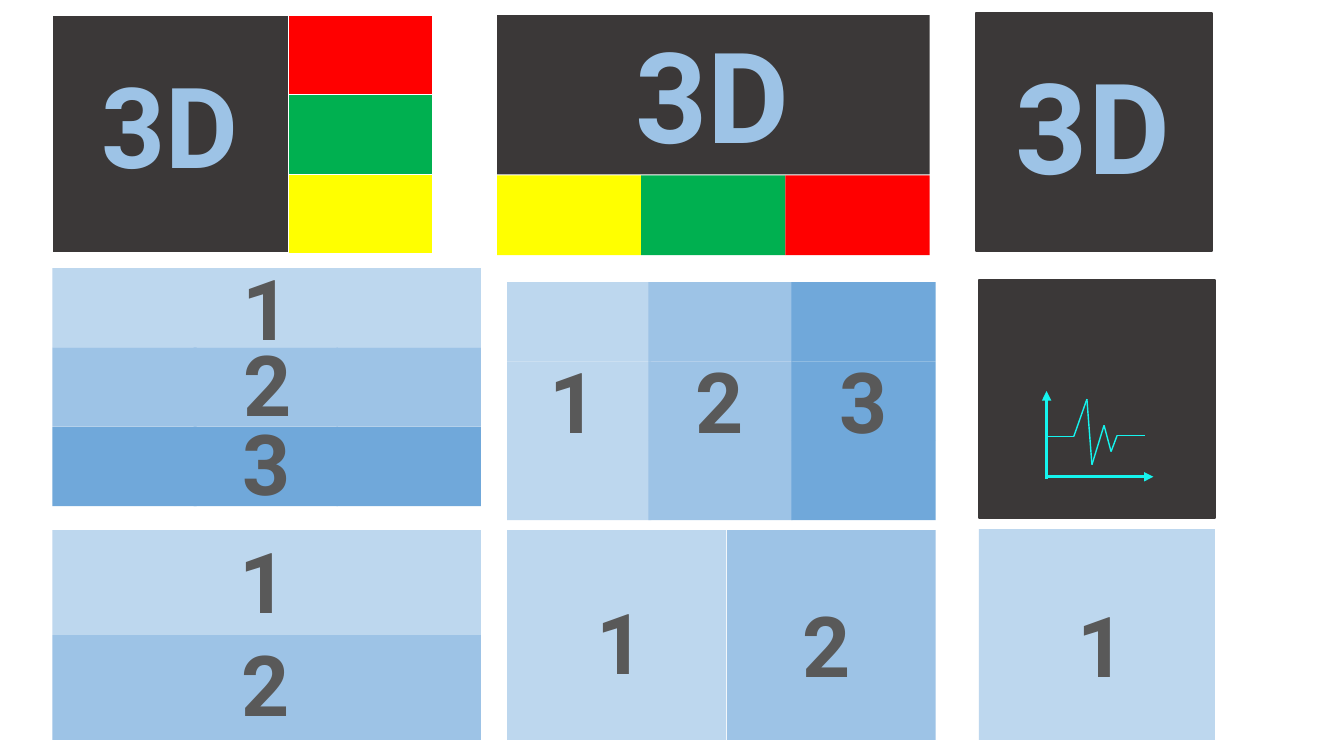
import pptx
import pptx.util
import pptx.dml.color
import pptx.enum.shapes
import pptx.enum.text
import pptx.oxml
import pptx.oxml.ns

Inches = pptx.util.Inches

THEME = {
    "font": "Roboto",
    "dark": "3B3838", "white": "FFFFFF",
    "red": "FF0000", "green": "00B050", "yellow": "FFFF00",
    "pale": "BDD7EE", "light": "9DC3E6", "mid": "70A8DA",
    "digit": "595959", "signal": "15F4EE",
    "digit_size": 60, "small_title": 80, "large_title": 90,
    "thin": 1, "axis": 2.25,
}

SHADES = ["pale", "light", "mid"]
LEFT_COLUMNS = [(0.52, 1.43), (1.92, 1.43), (3.34, 1.43)]
MIDDLE_COLUMNS = [(5.03, 1.43), (6.43, 1.43), (7.85, 1.43)]
HALF_COLUMNS = [(5.03, 2.17), (7.21, 2.07)]
HALF_ROWS = [(5.26, 1.04), (6.3, 1.04)]


def even_rows(top, height, count):
    return [(top + i * height, height) for i in range(count)]


def grid(columns, rows, shade_by):
    return [(left, top, width, height, SHADES[r if shade_by == "row" else c], None)
            for c, (left, width) in enumerate(columns)
            for r, (top, height) in enumerate(rows)]


def digits(*places):
    return [(text, *place, 1.11, "digit", "digit_size") for text, *place in places]


side_lights = [(2.86, top, 1.43, height, colour, "white")
               for (top, height), colour in zip(even_rows(0.15, 0.79, 3),
                                                ["red", "green", "yellow"])]
bottom_lights = [(4.93 + i * 1.43, 1.74, 1.43, 0.79, colour, None)
                 for i, colour in enumerate(["yellow", "green", "red"])]

PANELS = [
    ([(0.52, 0.15, 2.34, 2.36, "dark", "white")] + side_lights,
     [("3D", 0.52, 0.51, 2.34, 1.45, "light", "small_title")]),
    ([(4.93, 0.15, 4.29, 1.58, "dark", None)] + bottom_lights,
     [("3D", 5.9, 0.12, 2.34, 1.62, "light", "large_title")]),
    (grid(LEFT_COLUMNS, even_rows(2.66, 0.787, 3), "row"),
     digits(("1", 1.47, 2.5, 2.34), ("2", 1.48, 3.25, 2.34), ("3", 1.47, 4.03, 2.34))),
    (grid(MIDDLE_COLUMNS, even_rows(2.8, 0.787, 3), "column"),
     digits(("1", 4.99, 3.42, 1.4), ("2", 6.42, 3.42, 1.44), ("3", 7.86, 3.42, 1.41))),
    ([(9.68, 0.13, 2.34, 2.36, "dark", "dark")],
     [("3D", 9.67, 0.43, 2.34, 1.62, "light", "large_title")]),
    ([(9.71, 2.78, 2.34, 2.36, "dark", "dark")], []),
    (grid(HALF_COLUMNS, HALF_ROWS, "column"),
     digits(("1", 5.36, 5.81, 1.59), ("2", 7.27, 5.84, 1.85))),
    (grid(LEFT_COLUMNS, HALF_ROWS, "row"),
     digits(("1", 1.44, 5.2, 2.34), ("2", 1.46, 6.23, 2.34))),
    ([(9.71, 5.25, 2.34, 2.09, "pale", None)],
     digits(("1", 9.76, 5.84, 2.34))),
]

AXES = [((10.38, 4.75), (10.38, 3.88)), ((10.37, 4.73), (11.44, 4.73))]
PULSE = [(10.37, 4.33), (10.65, 4.33), (10.78, 3.96), (10.83, 4.61),
         (10.95, 4.22), (11.02, 4.48), (11.08, 4.32), (11.36, 4.32)]


def colour_of(name):
    return pptx.dml.color.RGBColor.from_string(THEME[name])


def add_tile(panel, left, top, width, height, fill, outline):
    tile = panel.shapes.add_shape(pptx.enum.shapes.MSO_SHAPE.RECTANGLE,
                                  *map(Inches, (left, top, width, height)))
    tile.shadow.inherit = False
    tile.fill.solid()
    tile.fill.fore_color.rgb = colour_of(fill)
    if outline:
        tile.line.color.rgb = colour_of(outline)
        tile.line.width = pptx.util.Pt(THEME["thin"])
    else:
        tile.line.fill.background()


def add_label(panel, text, left, top, width, height, colour, size):
    label = panel.shapes.add_textbox(*map(Inches, (left, top, width, height)))
    label.text_frame.word_wrap = True
    label.text_frame.text = text
    paragraph = label.text_frame.paragraphs[0]
    paragraph.alignment = pptx.enum.text.PP_ALIGN.CENTER
    font = paragraph.runs[0].font
    font.name = THEME["font"]
    font.size = pptx.util.Pt(THEME[size])
    font.bold = True
    font.color.rgb = colour_of(colour)


def add_stroke(slide, start, end, weight, arrow=False):
    stroke = slide.shapes.add_connector(pptx.enum.shapes.MSO_CONNECTOR.STRAIGHT,
                                        *map(Inches, start + end))
    stroke.line.color.rgb = colour_of("signal")
    stroke.line.width = pptx.util.Pt(THEME[weight])
    properties = stroke._element.spPr
    if arrow:
        head = pptx.oxml.parse_xml(
            '<a:tailEnd %s type="triangle"/>' % pptx.oxml.ns.nsdecls("a"))
        properties.find(pptx.oxml.ns.qn("a:ln")).append(head)
    properties.append(pptx.oxml.parse_xml(
        "<a:effectLst %s/>" % pptx.oxml.ns.nsdecls("a")))


def main():
    deck = pptx.Presentation()
    deck.slide_width = Inches(13.33)
    deck.slide_height = Inches(7.5)
    slide = deck.slides.add_slide(deck.slide_layouts[6])
    for tiles, labels in PANELS:
        panel = slide.shapes.add_group_shape()
        for tile in tiles:
            add_tile(panel, *tile)
        for label in labels:
            add_label(panel, *label)
    for start, end in AXES:
        add_stroke(slide, start, end, "axis", arrow=True)
    for start, end in zip(PULSE, PULSE[1:]):
        add_stroke(slide, start, end, "thin")
    deck.save("out.pptx")


if __name__ == "__main__":
    main()
